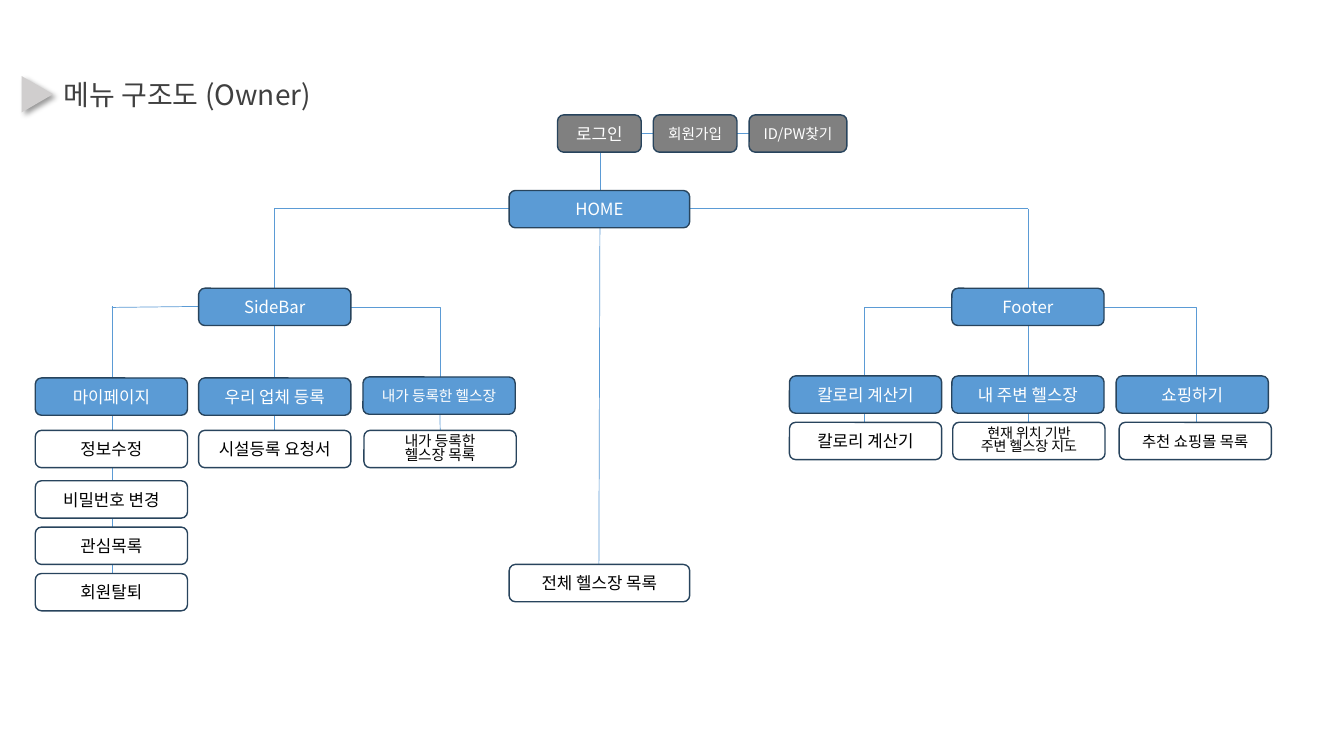
from dataclasses import dataclass
from typing import NamedTuple, Optional

from lxml.etree import SubElement
from pptx import Presentation
from pptx.dml.color import RGBColor
from pptx.enum.shapes import MSO_CONNECTOR, MSO_SHAPE
from pptx.enum.text import MSO_ANCHOR, MSO_AUTO_SIZE, PP_ALIGN
from pptx.oxml.ns import qn
from pptx.shapes.autoshape import Shape
from pptx.slide import Slide
from pptx.util import Inches, Pt


@dataclass(frozen=True)
class Theme:
    font: str = "Noto Sans CJK KR"
    blue: str = "5B9BD5"
    gray: str = "808080"
    white: str = "FFFFFF"
    black: str = "000000"
    outline: str = "28445D"
    marker: str = "D0CECE"
    title: str = "404040"
    title_size: float = 20
    body_size: float = 12
    medium_size: float = 11
    small_size: float = 10.5
    tiny_size: float = 10


THEME = Theme()
BOX_WIDTH, BOX_HEIGHT, HOME_WIDTH = 1.51, 0.37, 1.79


class Box(NamedTuple):
    text: str
    left: float
    top: float
    width: float = BOX_WIDTH
    fill: str = THEME.blue
    size: float = THEME.body_size


class Link(NamedTuple):
    """A line; bend names the elbow preset and adjust its turning point."""
    start: tuple[float, float]
    end: tuple[float, float]
    bend: Optional[str] = None
    adjust: Optional[float] = None


class Column(NamedTuple):
    """A blue menu heading with white pages below it."""
    heading: Box
    pages: list[Box]


def page(text: str, left: float, top: float, width: float = BOX_WIDTH,
         size: float = THEME.body_size) -> Box:
    return Box(text, left, top, width, THEME.white, size)


ENTRY_BOXES = [
    Box("로그인", 5.53, 1.14, 0.83, THEME.gray),
    Box("회원가입", 6.48, 1.14, 0.83, THEME.gray, THEME.small_size),
    Box("ID/PW찾기", 7.43, 1.14, 0.97, THEME.gray, THEME.small_size),
]
HUB_BOXES = [
    Box("HOME", 5.05, 1.89, HOME_WIDTH),
    Box("SideBar", 1.97, 2.86),
    Box("Footer", 9.44, 2.86),
    page("전체 헬스장 목록", 5.05, 5.6, HOME_WIDTH),
]
MY_PAGES = {"정보수정": 4.27, "비밀번호 변경": 4.77, "관심목록": 5.23, "회원탈퇴": 5.69}
COLUMNS = [
    Column(Box("마이페이지", 0.35, 3.75),
           [page(text, 0.35, top) for text, top in MY_PAGES.items()]),
    Column(Box("우리 업체 등록", 1.97, 3.75), [page("시설등록 요청서", 1.97, 4.27)]),
    Column(Box("내가 등록한 헬스장", 3.6, 3.74, size=THEME.small_size),
           [page("내가 등록한\n헬스장 목록", 3.61, 4.27, size=THEME.small_size)]),
    Column(Box("칼로리 계산기", 7.83, 3.73), [page("칼로리 계산기", 7.83, 4.19)]),
    Column(Box("내 주변 헬스장", 9.44, 3.73),
           [page("현재 위치 기반\n주변 헬스장 지도", 9.45, 4.19, size=THEME.tiny_size)]),
    Column(Box("쇼핑하기", 11.07, 3.73),
           [page("추천 쇼핑몰 목록", 11.1, 4.19, size=THEME.medium_size)]),
]
LINKS = [
    Link((6.36, 1.32), (8.4, 1.32)),
    Link((5.95, 1.89), (5.95, 1.51)),
    Link((5.95, 2.26), (5.94, 5.6)),
    Link((5.05, 2.07), (2.72, 2.07)),
    Link((2.72, 2.86), (2.72, 2.07)),
    Link((10.2, 2.07), (6.75, 2.07)),
    Link((10.2, 2.86), (10.2, 2.07)),
    Link((1.97, 3.04), (1.11, 3.05)),
    Link((1.11, 3.75), (1.11, 3.04)),
    Link((1.11, 4.12), (1.11, 6.06)),
    Link((2.72, 3.23), (2.72, 4.64)),
    Link((3.48, 3.05), (4.48, 4.05), "bentConnector3", 0.891),
    Link((4.36, 3.74), (4.37, 4.64)),
    Link((9.44, 3.05), (8.57, 4.37), "bentConnector2"),
    Link((10.2, 3.23), (10.2, 4.56)),
    Link((10.95, 3.05), (11.87, 4.41), "bentConnector2"),
]


def write_text(shape: Shape, text: str, *, size: float, color: str,
               align: PP_ALIGN = PP_ALIGN.CENTER, wrap: bool = True) -> None:
    frame = shape.text_frame
    frame.word_wrap = wrap
    frame.vertical_anchor = MSO_ANCHOR.MIDDLE
    lines = text.split("\n")
    for index, line in enumerate(lines):
        paragraph = frame.add_paragraph() if index else frame.paragraphs[0]
        paragraph.alignment = align
        if len(lines) > 1:
            paragraph.line_spacing = 0.8
        run = paragraph.add_run()
        run.text = line
        run.font.size = Pt(size)
        run.font.name = THEME.font
        run.font.color.rgb = RGBColor.from_string(color)
    for properties in shape.element.iter(qn("a:rPr")):
        SubElement(properties, qn("a:ea"), typeface=THEME.font)


def draw_box(slide: Slide, box: Box) -> None:
    shape = slide.shapes.add_shape(
        MSO_SHAPE.ROUNDED_RECTANGLE, Inches(box.left), Inches(box.top),
        Inches(box.width), Inches(BOX_HEIGHT))
    shape.shadow.inherit = False
    shape.fill.solid()
    shape.fill.fore_color.rgb = RGBColor.from_string(box.fill)
    shape.line.color.rgb = RGBColor.from_string(THEME.outline)
    shape.line.width = Pt(1)
    color = THEME.black if box.fill == THEME.white else THEME.white
    write_text(shape, box.text, size=box.size, color=color)


def draw_link(slide: Slide, link: Link) -> None:
    kind = MSO_CONNECTOR.ELBOW if link.bend else MSO_CONNECTOR.STRAIGHT
    connector = slide.shapes.add_connector(
        kind, *(Inches(value) for value in link.start + link.end))
    connector.line.color.rgb = RGBColor.from_string(THEME.blue)
    connector.line.width = Pt(0.5)
    properties = connector.element.spPr
    SubElement(properties, qn("a:effectLst"))
    if link.bend:
        geometry = properties.find(qn("a:prstGeom"))
        geometry.set("prst", link.bend)
        if link.adjust is not None:
            SubElement(geometry.find(qn("a:avLst")), qn("a:gd"), name="adj1",
                       fmla=f"val {round(link.adjust * 100000)}")


def draw_title(slide: Slide, text: str) -> None:
    title = slide.shapes.title
    title.left, title.top = Inches(0.53), Inches(0.72)
    title.width, title.height = Inches(2.81), Inches(0.44)
    write_text(title, text, size=THEME.title_size, color=THEME.title,
               align=PP_ALIGN.LEFT, wrap=False)
    title.text_frame.auto_size = MSO_AUTO_SIZE.SHAPE_TO_FIT_TEXT


def draw_title_marker(slide: Slide) -> None:
    marker = slide.shapes.add_shape(
        MSO_SHAPE.ISOSCELES_TRIANGLE, Inches(0.19), Inches(0.78),
        Inches(0.36), Inches(0.31))
    marker.rotation = 90
    marker.fill.solid()
    marker.fill.fore_color.rgb = RGBColor.from_string(THEME.marker)
    marker.line.fill.background()
    marker.shadow.inherit = False
    effects = marker.element.spPr.find(qn("a:effectLst"))
    shadow = SubElement(effects, qn("a:outerShdw"), blurRad=str(Pt(4)),
                        dist=str(Pt(3)), dir="2700000", algn="tl", rotWithShape="0")
    shade = SubElement(shadow, qn("a:srgbClr"), val=THEME.black)
    SubElement(shade, qn("a:alpha"), val="40000")


def main() -> None:
    presentation = Presentation()
    presentation.slide_width, presentation.slide_height = Inches(13.33), Inches(7.5)
    slide = presentation.slides.add_slide(presentation.slide_layouts[5])
    draw_title(slide, "메뉴 구조도 (Owner)")
    draw_title_marker(slide)
    for link in LINKS:
        draw_link(slide, link)
    for box in ENTRY_BOXES + HUB_BOXES:
        draw_box(slide, box)
    for column in COLUMNS:
        for box in [column.heading, *column.pages]:
            draw_box(slide, box)
    presentation.save("out.pptx")


if __name__ == "__main__":
    main()
